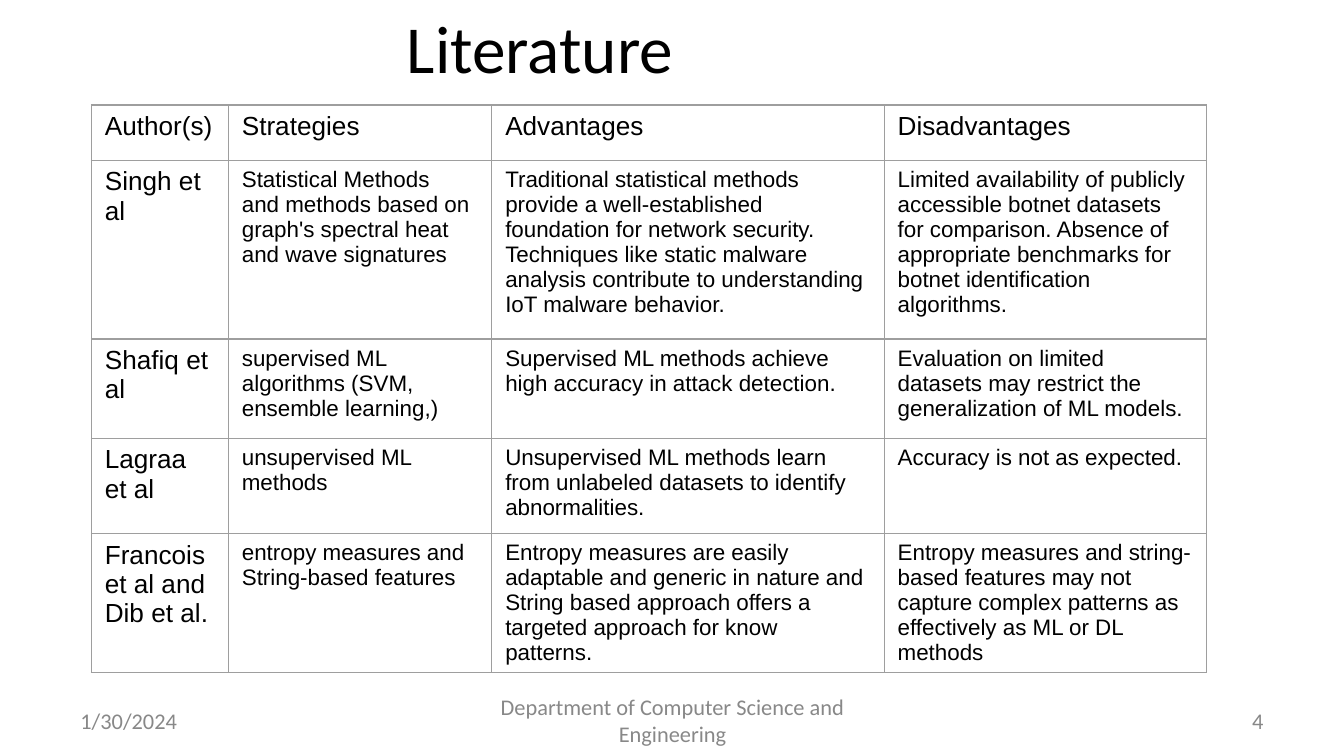
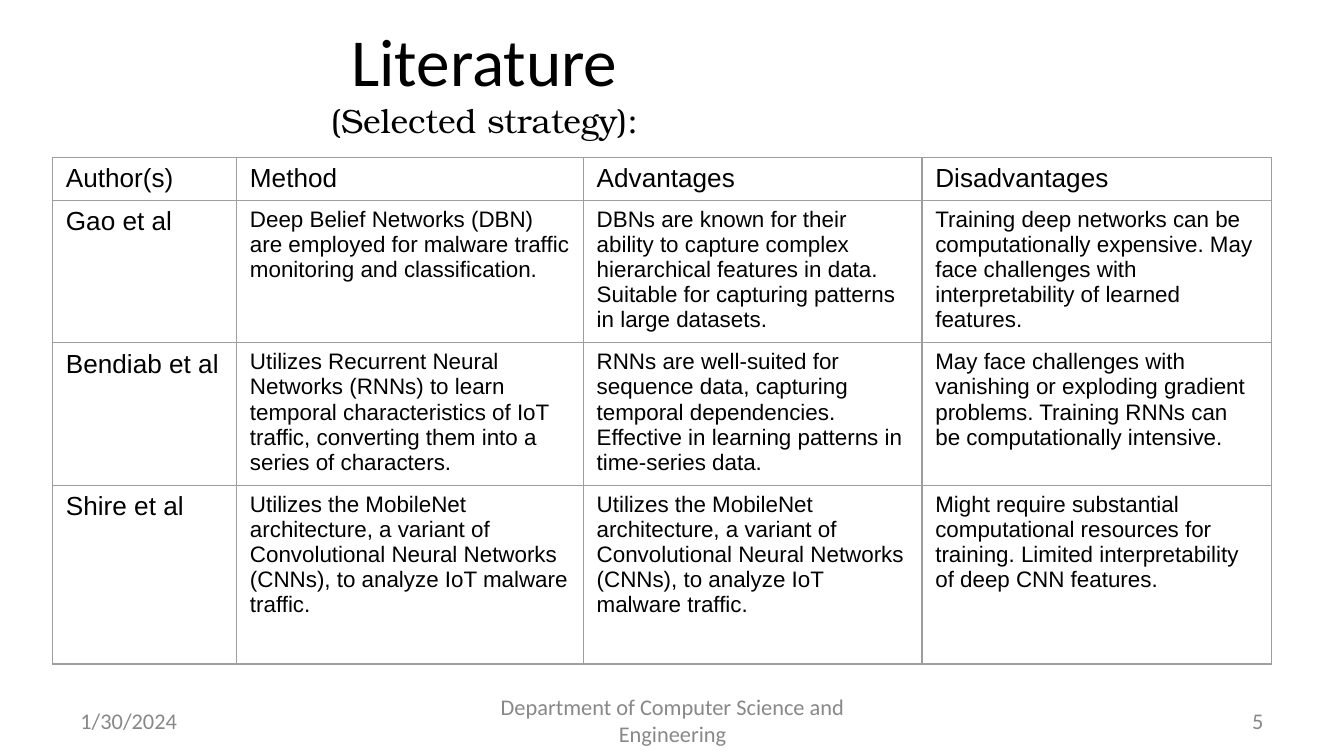
"""Build two slides that compare strategies from the literature in tables."""
from lxml.etree import SubElement
from pptx import Presentation
from pptx.dml.color import RGBColor
from pptx.enum.text import MSO_ANCHOR as Anchor, MSO_AUTO_SIZE as AutoSize, PP_ALIGN as Align
from pptx.oxml.ns import qn
from pptx.util import Inches, Pt

BLACK = RGBColor(0x00, 0x00, 0x00)
FOOTER_GRAY = RGBColor(0x88, 0x88, 0x88)
BORDER_GRAY = RGBColor(0x9E, 0x9E, 0x9E)
HEADING_FONT, TABLE_FONT, SUBTITLE_FONT = "Calibri", "Arial", "TeX Gyre Bonum"
LARGE, SMALL = Pt(14), Pt(12)

presentation = Presentation()
presentation.slide_width = Inches(10)
presentation.slide_height = Inches(5.625)
COLUMN = presentation.slide_width / 100
ROW = presentation.slide_height / 100
TITLE_SIZE = (66.9, 12.25)
FOOTER_TOP, FOOTER_HEIGHT = 92.65, 5.3


def add_text(slide, box, text, size, color, alignment):
    """Add a middle-anchored text box placed in grid units; return its paragraph."""
    left, top, width, height = box
    shape = slide.shapes.add_textbox(
        round(left * COLUMN), round(top * ROW), round(width * COLUMN), round(height * ROW))
    frame = shape.text_frame
    frame.word_wrap = True
    frame.auto_size = AutoSize.NONE
    frame.vertical_anchor = Anchor.MIDDLE
    paragraph = frame.paragraphs[0]
    paragraph.alignment = alignment
    paragraph.font.name = HEADING_FONT
    paragraph.font.size = size
    paragraph.font.color.rgb = color
    paragraph.add_run().text = text
    return paragraph


SLIDES = [
    {
        "number": "4",
        "title": "Literature ",
        "subtitle": None,
        "title_corner": (7.3, 0),
        "table_corner": (6.8, 13.9),
        "columns": [10.2, 19.6, 29.2, 24],
        "rows": [7.3, 23.65, 13.15, 12.6, 18.3],
        "cells": [
            ["Author(s)", "Strategies", "Advantages", "Disadvantages"],
            ["Singh et al",
             "Statistical Methods\nand methods based on graph's spectral heat and wave signatures",
             "Traditional statistical methods provide a well-established foundation for network "
             "security.\nTechniques like static malware analysis contribute to understanding IoT "
             "malware behavior.",
             "Limited availability of publicly accessible botnet datasets for comparison. Absence "
             "of appropriate benchmarks for botnet identification algorithms."],
            ["Shafiq et al",
             "supervised ML algorithms (SVM, ensemble learning,)",
             "Supervised ML methods achieve high accuracy in attack detection.",
             "Evaluation on limited datasets may restrict the generalization of ML models."],
            ["Lagraa et al",
             "unsupervised ML methods",
             "Unsupervised ML methods learn from unlabeled datasets to identify abnormalities.",
             "Accuracy is not as expected."],
            ["Francois et al and Dib et al.",
             "entropy measures and String-based features",
             "Entropy measures are easily adaptable and generic in nature and String based "
             "approach offers a targeted approach for know patterns.",
             "Entropy measures and string-based features may not capture complex patterns as "
             "effectively as ML or DL methods"],
        ],
    },
    {
        "number": "5",
        "title": "Literature",
        "subtitle": "(Selected strategy):",
        "title_corner": (2.6, 4.45),
        "table_corner": (3.9, 20.8),
        "columns": [13.7, 25.8, 25.2, 26],
        "rows": [5.7, 18.85, 18.85, 23.65],
        "cells": [
            ["Author(s)", "Method", "Advantages", "Disadvantages"],
            ["Gao et al",
             "Deep Belief Networks (DBN) are employed for malware traffic monitoring and "
             "classification.",
             "DBNs are known for their ability to capture complex hierarchical features in data. "
             "Suitable for capturing patterns in large datasets.",
             "Training deep networks can be computationally expensive. May face challenges with "
             "interpretability of learned features."],
            ["Bendiab et al",
             "Utilizes Recurrent Neural Networks (RNNs) to learn temporal characteristics of IoT "
             "traffic, converting them into a series of characters.",
             "RNNs are well-suited for sequence data, capturing temporal dependencies. Effective "
             "in learning patterns in time-series data.",
             "May face challenges with vanishing or exploding gradient problems. Training RNNs "
             "can be computationally intensive."],
            ["Shire et al",
             *["Utilizes the MobileNet architecture, a variant of Convolutional Neural Networks "
               "(CNNs), to analyze IoT malware traffic."] * 2,
             "Might require substantial computational resources for training. Limited "
             "interpretability of deep CNN features."],
        ],
    },
]

for content in SLIDES:
    slide = presentation.slides.add_slide(presentation.slide_layouts[6])

    title = add_text(slide, content["title_corner"] + TITLE_SIZE, content["title"],
                     Pt(36), BLACK, Align.CENTER)
    if content["subtitle"]:
        title.add_line_break()
        subtitle = title.add_run()
        subtitle.text = content["subtitle"]
        subtitle.font.name = SUBTITLE_FONT
        subtitle.font.size = Pt(18)

    left, top = content["table_corner"]
    columns, rows = content["columns"], content["rows"]
    table = slide.shapes.add_table(
        len(rows), len(columns), round(left * COLUMN), round(top * ROW),
        round(sum(columns) * COLUMN), round(sum(rows) * ROW)).table
    table.first_row = False
    table.horz_banding = False
    for table_column, width in zip(table.columns, columns):
        table_column.width = round(width * COLUMN)
    for table_row, height in zip(table.rows, rows):
        table_row.height = round(height * ROW)

    for row_index, texts in enumerate(content["cells"]):
        for column_index, text in enumerate(texts):
            cell = table.cell(row_index, column_index)
            cell.text = text
            for paragraph in cell.text_frame.paragraphs:
                paragraph.font.name = TABLE_FONT
                paragraph.font.size = LARGE if row_index == 0 or column_index == 0 else SMALL
                paragraph.font.color.rgb = BLACK
            properties = cell._tc.get_or_add_tcPr()
            for side in ("a:lnL", "a:lnR", "a:lnT", "a:lnB"):
                border = SubElement(properties, qn(side), w=str(Pt(0.75)))
                border_fill = SubElement(border, qn("a:solidFill"))
                SubElement(border_fill, qn("a:srgbClr"), val=str(BORDER_GRAY))
            cell.fill.background()

    for left, width, text, alignment in (
        (5, 23.3, "1/30/2024", Align.LEFT),
        (34.2, 31.7, "Department of Computer Science and Engineering", Align.CENTER),
        (71.7, 23.3, content["number"], Align.RIGHT),
    ):
        add_text(slide, (left, FOOTER_TOP, width, FOOTER_HEIGHT), text,
                 SMALL, FOOTER_GRAY, alignment)

presentation.save("out.pptx")
